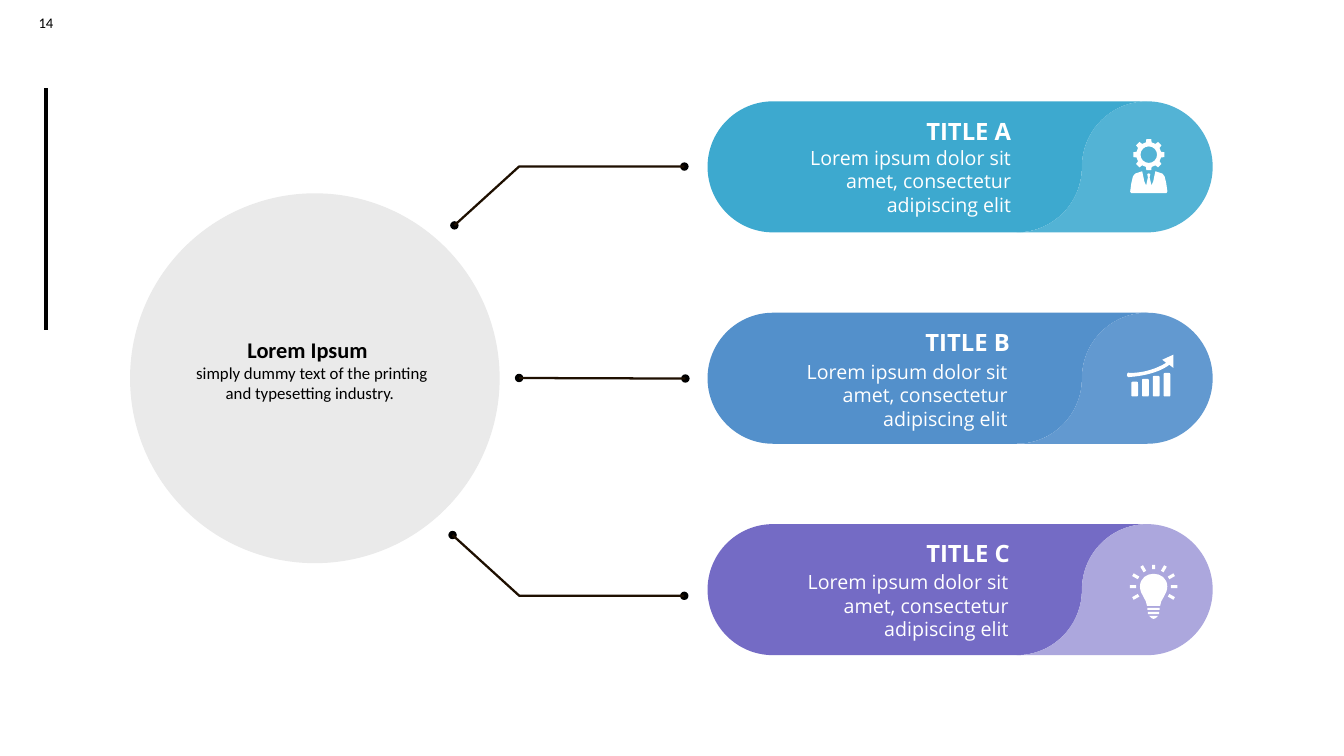
from math import cos, sin, radians
from lxml import etree
from pptx import Presentation
from pptx import util as u
from pptx.dml import color
from pptx.enum import shapes, text
from pptx.oxml import ns

deck = Presentation()
deck.slide_width, deck.slide_height = u.Pt(960), u.Pt(540)
slide = deck.slides.add_slide(deck.slide_layouts[6])
items = slide.shapes


def tint(fill, tone):
    fill.solid()
    fill.fore_color.rgb = color.RGBColor.from_string(tone)


def say(words, box=None, frame=None, size=14, face="Open Sans", tone="FFFFFF",
        bold=False, align="LEFT", pad=(7.2, 3.6)):
    if frame is None:
        frame = items.add_textbox(*[u.Pt(n) for n in box]).text_frame
        frame.word_wrap = True
        frame.margin_left = frame.margin_right = u.Pt(pad[0])
        frame.margin_top = frame.margin_bottom = u.Pt(pad[1])
        para = frame.paragraphs[0]
    else:
        para = frame.add_paragraph()
    para.alignment = getattr(text.PP_ALIGN, align)
    run = para.add_run()
    run.text = words
    run.font.size, run.font.name, run.font.bold = u.Pt(size), face, bold
    tint(run.font.fill, tone)
    return frame


rows = [
    ("TITLE A", "3DA9CF", "53B3D5", (661.7, 83.5), (553, 100.5)),
    ("TITLE B", "5390CB", "6299D0", (661, 234), (550.5, 253.4)),
    ("TITLE C", "746BC5", "ACA7DD", (661.7, 384.9), (551.2, 403.6)),
]
white = "FFFFFF"
rad, bend = 46.8, 25.8
left, mid, right = 552.2, 726.2, 819.4
neck = 772.8

# Each outline is a colour and its contours; two numbers make a line, six a curve.
outlines = []
for row, (name, dark, light, *_) in enumerate(rows):
    cy = 119.2 + 151 * row
    top, low = cy - rad, cy + rad
    rise, dip = cy - bend, cy + bend
    west, east = left - rad, right + rad
    body = [(left, top), (right, top),
            (right - bend, top, neck, rise, neck, cy),
            (neck, dip, mid + bend, low, mid, low), (left, low),
            (left - bend, low, west, dip, west, cy),
            (west, rise, left - bend, top, left, top)]
    tip = [(neck, cy), (neck, rise, right - bend, top, right, top),
           (right + bend, top, east, rise, east, cy),
           (east, dip, right + bend, low, right, low), (mid, low),
           (mid + bend, low, neck, dip, neck, cy)]
    outlines += [(dark, [body]), (light, [tip])]

gx, gy, eye, bow = 820.6, 110.5, 5.9, 3.3
teeth = [(gx + r * cos(radians(45 * k + a)), gy + r * sin(radians(45 * k + a)))
         for k in range(8) for a, r in ((-13, 9), (-9, 11.2), (9, 11.2), (13, 9))]
hole = [(gx + eye, gy),
        (gx + eye, gy - bow, gx + bow, gy - eye, gx, gy - eye),
        (gx - bow, gy - eye, gx - eye, gy - bow, gx - eye, gy),
        (gx - eye, gy + bow, gx - bow, gy + eye, gx, gy + eye),
        (gx + bow, gy + eye, gx + eye, gy + bow, gx + eye, gy)]
half = [(0, 123.8), (1.1, 124.4), (0.6, 126.7), (1.9, 132.5), (3.2, 129.6), (4.7, 122.4),
        (7, 123.1), (9.7, 124), (11.3, 126), (12.5, 131), (13.3, 136.8), (12.6, 138)]
suit = [(gx + x, y) for x, y in half] + [(gx - x, y) for x, y in reversed(half[1:])]
outlines.append((white, [suit, teeth, hole]))

trend = [(807.1, 266.4), (807.1, 266.4, 820.1, 267.1, 833, 259.2),
         (830.2, 257), (838.1, 253.4), (838.1, 262.8), (835.2, 260.6),
         (835.2, 260.6, 827.3, 267.8, 807.1, 269.3),
         (807.1, 269.3, 805, 270, 805, 268.6), (805, 267.1, 805, 265.7, 807.1, 266.4)]
outlines.append((white, [trend]))

lamp = [[(833.8, 419), (833.8, 424.8, 828.7, 428.4, 828.7, 432.7), (819.3, 432.7),
         (819.3, 428.4, 814.3, 424.8, 814.3, 419),
         (814.3, 406.8, 833.8, 406.8, 833.8, 419)],
        [(820.8, 439.9), (822.2, 441.4, 823, 442.1, 824, 442.1),
         (825, 442.1, 825.8, 441.4, 827.2, 439.9)]]
for wide, y in ((4.4, 434.2), (4, 437.1)):
    lamp.append([(824 - wide, y), (824 + wide, y), (824 + wide, y + 1.5), (824 - wide, y + 1.5)])
for deg in range(150, 391, 30):
    c, s = cos(radians(deg)), sin(radians(deg))
    far = 15.6 if deg == 270 else 17
    lamp.append([(824 + r * c - w * s, 419 + r * s + w * c)
                 for r, w in ((12.4, -1.1), (far, -1.1), (far, 1.1), (12.4, 1.1))])
outlines.append((white, lamp))

for tone, loops in outlines:
    pen = None
    for loop in loops:
        spots = [(u.Pt(n[i]), u.Pt(n[i + 1])) for n in loop for i in range(0, len(n), 2)]
        if pen is None:
            pen = items.build_freeform(*spots[0])
        else:
            pen.move_to(*spots[0])
        pen.add_line_segments(spots[1:])
    form = pen.convert_to_shape()
    nodes = iter(list(form._element.iter(ns.qn("a:lnTo"))))
    for step in [step for loop in loops for step in loop[1:]]:
        node = next(nodes)
        if len(step) == 6:
            curve = etree.Element(ns.qn("a:cubicBezTo"))
            node.addprevious(curve)
            for part in (node, next(nodes), next(nodes)):
                curve.append(part[0])
                part.getparent().remove(part)
    tint(form.fill, tone)
    form.line.fill.background()
    form.shadow.inherit = False

routes = [
    [(324.6, 161), (370.8, 119), (488.9, 119)],
    [(489.6, 270.4), (370.8, 270)],
    [(323.3, 382.2), (371, 425.6), (488.8, 425.6)],
]
strokes = [(route, "1E0F00", 1.62) for route in routes]
strokes.append(([(33.1, 235.4), (33.1, 62.6)], "000000", 3))
solids = [("OVAL", (92.9, 138.1, 264, 264.2), "EAEAEA")]
solids += [("OVAL", (x - 3, y - 3, 6, 6), "000000")
           for route in routes for x, y in (route[0], route[-1])]
solids += [("ROUNDED_RECTANGLE", (808.1 + 7.68 * k, 272.7 - 2.1 * k, 4.8, 10.5 + 2.1 * k), white)
           for k in range(4)]
for kind, box, tone in solids:
    form = items.add_shape(getattr(shapes.MSO_SHAPE, kind), *[u.Pt(n) for n in box])
    tint(form.fill, tone)
    form.line.fill.background()
    form.shadow.inherit = False

for route, tone, width in strokes:
    spots = [(u.Pt(x), u.Pt(y)) for x, y in route]
    if len(spots) == 2:
        line = items.add_connector(shapes.MSO_CONNECTOR.STRAIGHT, *spots[0], *spots[1])
    else:
        pen = items.build_freeform(*spots[0])
        pen.add_line_segments(spots[1:], close=False)
        line = pen.convert_to_shape()
        line.fill.background()
    tint(line.line.fill, tone)
    line.line.width = u.Pt(width)
    etree.SubElement(line._element.spPr, ns.qn("a:effectLst"))

for name, dark, light, head, note in rows:
    say(name, (*head, 64.8, 20.9), size=17, bold=True, pad=(0, 0))
    say("Lorem ipsum dolor sit amet, consectetur adipiscing elit",
        (*note, 176.4, 58.3), align="RIGHT")

plain = dict(face="Calibri", tone="000000", align="CENTER")
say("14", (12.4, 6.4, 41, 19.4), size=10.5, **plain)
hub = say("Lorem Ipsum ", (128.2, 236.6, 186.5, 55.4), size=16, bold=True, **plain)
say(" simply dummy text of the printing and typesetting industry.", frame=hub, size=12, **plain)

deck.save("out.pptx")
